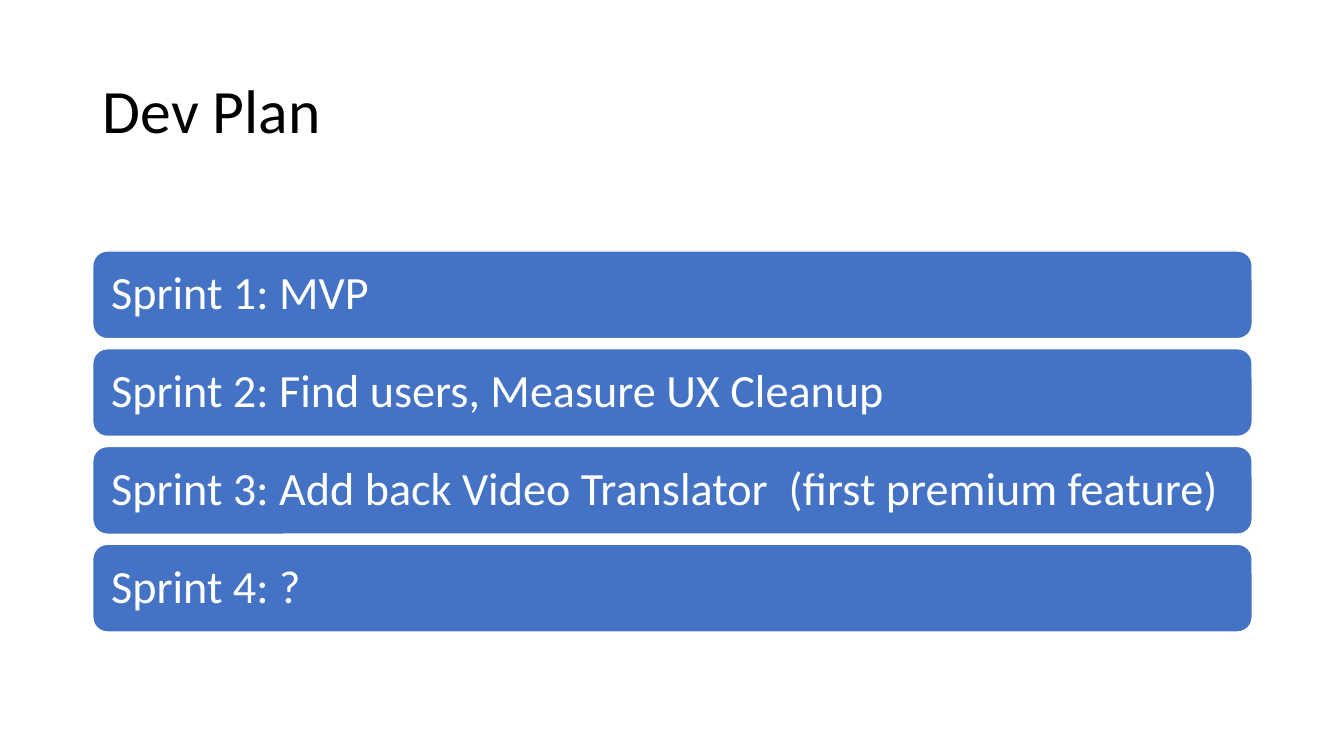
import pptx
import pptx.dml.color
import pptx.enum.shapes
import pptx.enum.text
import pptx.util

RGBColor = pptx.dml.color.RGBColor
Inches = pptx.util.Inches

BLACK = RGBColor(0x00, 0x00, 0x00)
WHITE = RGBColor(0xFF, 0xFF, 0xFF)
BLUE = RGBColor(0x44, 0x72, 0xC4)

FONT = "Calibri"
SLIDE_WIDTH, SLIDE_HEIGHT = 13.33, 7.5
MARGIN = 0.92
CONTENT_WIDTH = 11.5
TITLE_TOP, TITLE_HEIGHT = 0.4, 1.45
BARS_TOP, BAR_HEIGHT, BAR_PITCH = 2.49, 0.87, 0.97
BAR_INSET = 0.14

SPRINTS = [
    "Sprint 1: MVP",
    "Sprint 2: Find users, Measure UX Cleanup",
    "Sprint 3: Add back Video Translator  (first premium feature)",
    "Sprint 4: ?",
]


def write_line(shape, text, size, color):
    """Fill a shape with one left-aligned, vertically centred paragraph."""
    frame = shape.text_frame
    frame.word_wrap = True
    frame.auto_size = pptx.enum.text.MSO_AUTO_SIZE.NONE
    frame.vertical_anchor = pptx.enum.text.MSO_ANCHOR.MIDDLE
    paragraph = frame.paragraphs[0]
    paragraph.alignment = pptx.enum.text.PP_ALIGN.LEFT
    paragraph.line_spacing = 0.9
    run = paragraph.add_run()
    run.text = text
    run.font.name = FONT
    run.font.size = pptx.util.Pt(size)
    run.font.color.rgb = color


def place_title(slide, text):
    title = slide.shapes.title
    title.left, title.top = Inches(MARGIN), Inches(TITLE_TOP)
    title.width, title.height = Inches(CONTENT_WIDTH), Inches(TITLE_HEIGHT)
    write_line(title, text, 44, BLACK)


def add_sprint_bar(slide, row, text):
    bar = slide.shapes.add_shape(
        pptx.enum.shapes.MSO_SHAPE.ROUNDED_RECTANGLE,
        Inches(MARGIN), Inches(BARS_TOP + row * BAR_PITCH),
        Inches(CONTENT_WIDTH), Inches(BAR_HEIGHT))
    bar.shadow.inherit = False
    bar.fill.solid()
    bar.fill.fore_color.rgb = BLUE
    bar.line.color.rgb = WHITE
    bar.line.width = pptx.util.Pt(1)
    frame = bar.text_frame
    frame.margin_left = frame.margin_right = Inches(BAR_INSET)
    frame.margin_top = frame.margin_bottom = Inches(BAR_INSET)
    write_line(bar, text, 33, WHITE)


def main():
    presentation = pptx.Presentation()
    presentation.slide_width = Inches(SLIDE_WIDTH)
    presentation.slide_height = Inches(SLIDE_HEIGHT)
    title_only = presentation.slide_layouts.get_by_name("Title Only")
    slide = presentation.slides.add_slide(title_only)

    place_title(slide, "Dev Plan")
    for row, sprint in enumerate(SPRINTS):
        add_sprint_bar(slide, row, sprint)

    presentation.save("out.pptx")


if __name__ == "__main__":
    main()
